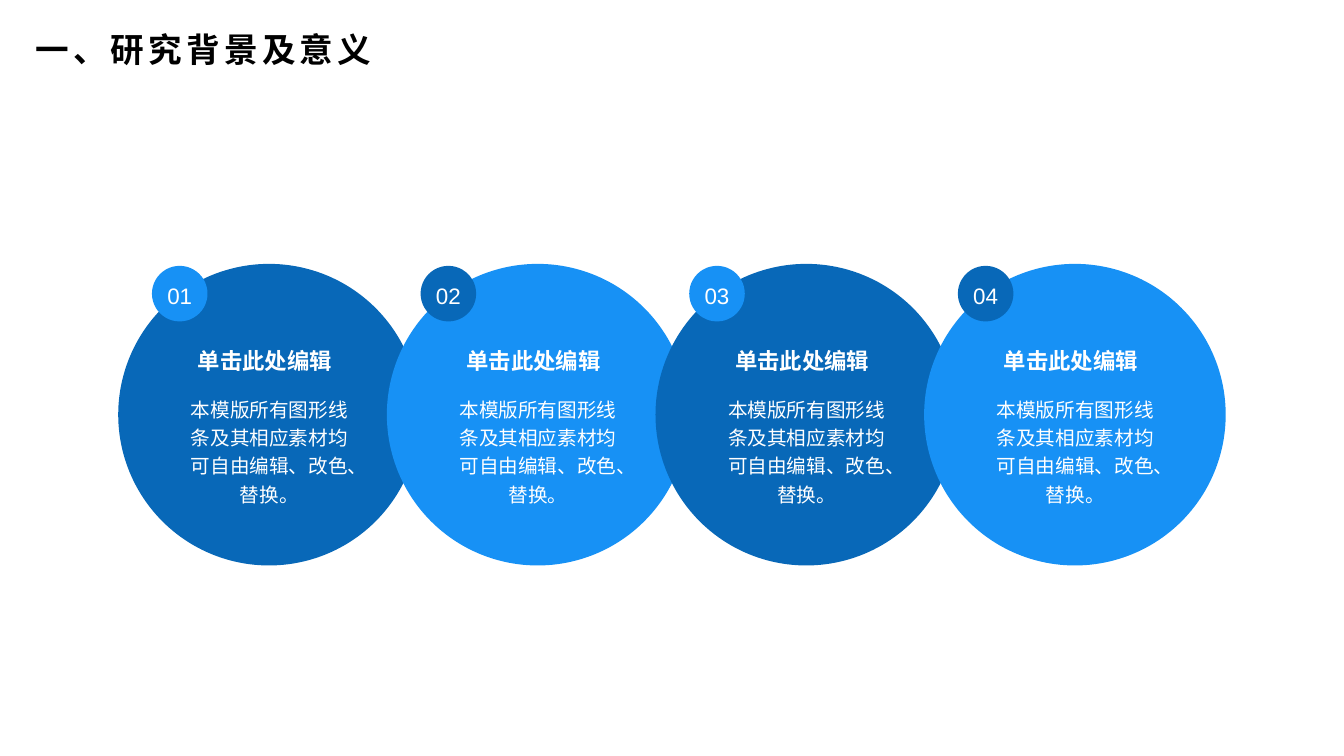
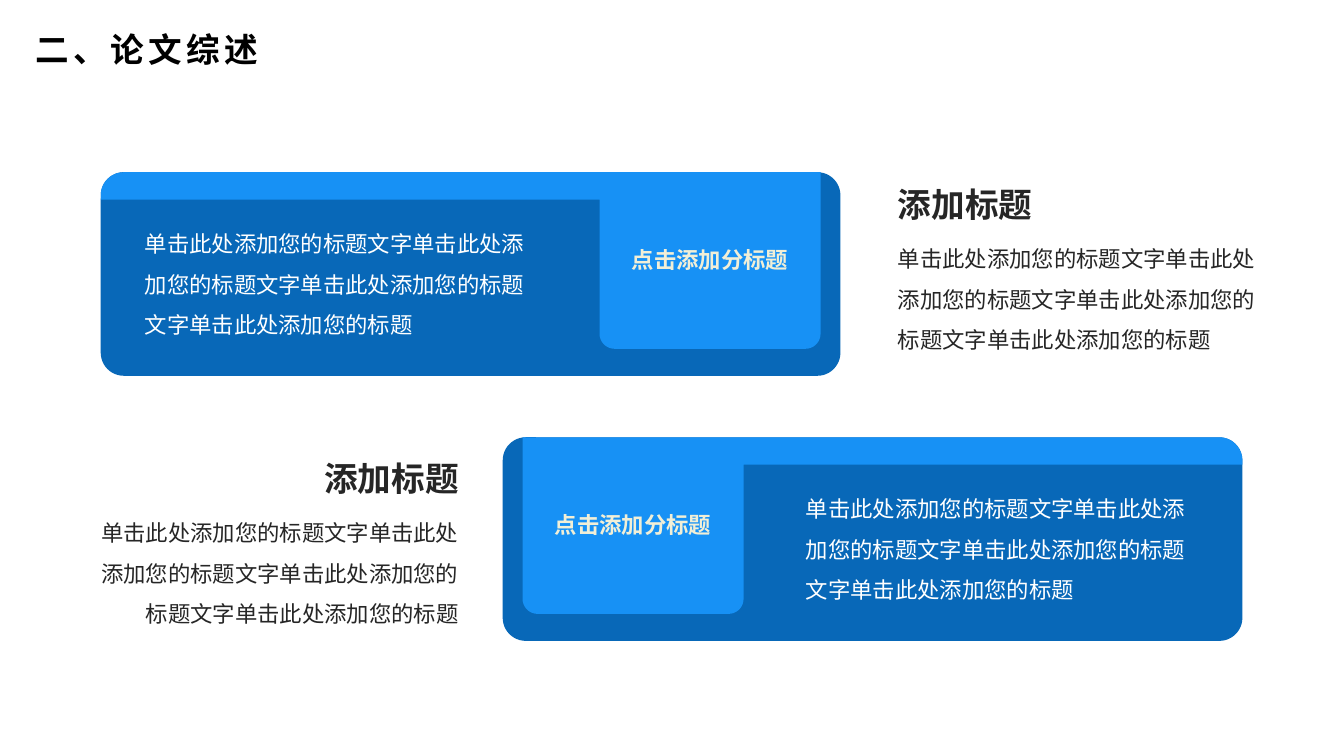
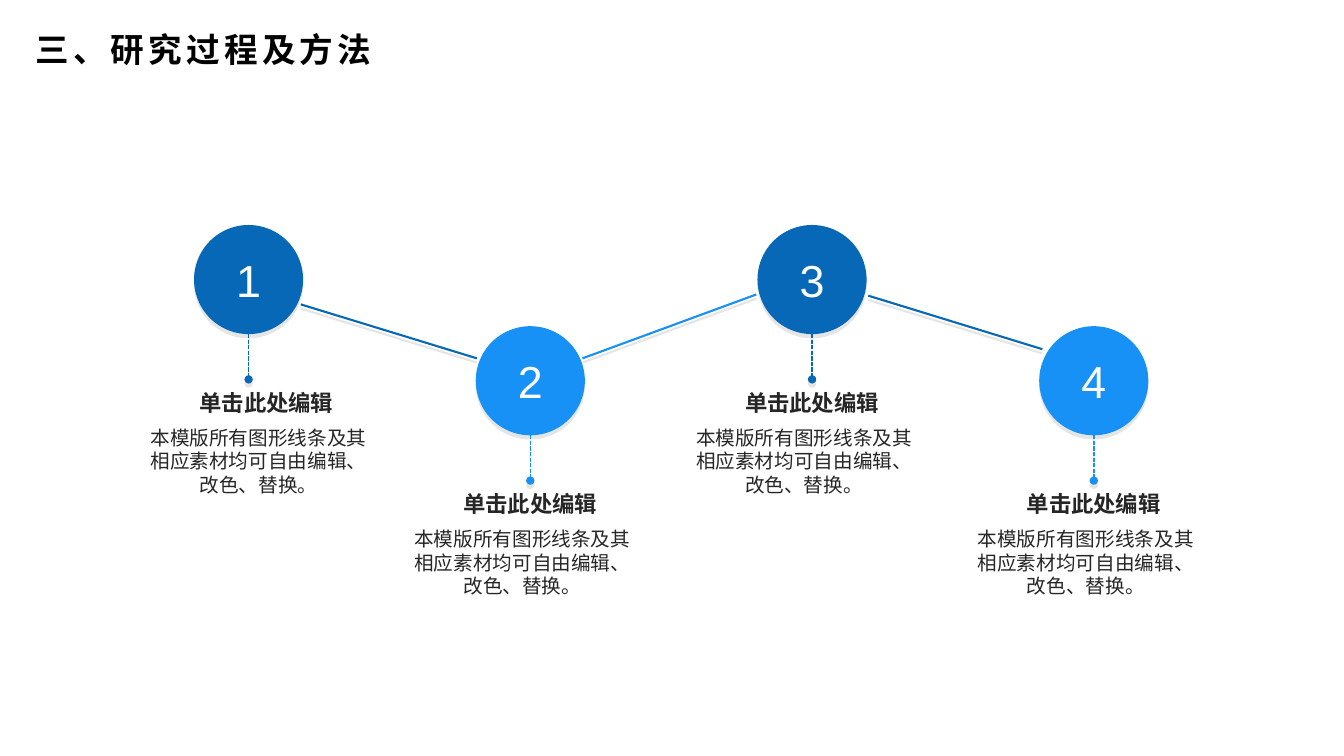
import dataclasses
import math

import lxml.etree
import pptx
import pptx.dml.color
import pptx.enum.dml
import pptx.enum.lang
import pptx.enum.shapes
import pptx.enum.text
import pptx.oxml
import pptx.oxml.ns
import pptx.util

Cm = pptx.util.Cm
ALIGN = pptx.enum.text.PP_ALIGN
SHAPE = pptx.enum.shapes.MSO_SHAPE
qn = pptx.oxml.ns.qn


@dataclasses.dataclass(frozen=True)
class Theme:
    """Colours, font and type sizes shared by all slides."""
    deep: str = "0868B8"
    bright: str = "1791F5"
    white: str = "FFFFFF"
    cream: str = "F1EFD7"
    ink: str = "262626"
    black: str = "000000"
    font: str = "Arial"
    title: int = 24
    number: int = 32
    heading: int = 16
    body: int = 14

    def tone(self, index):
        """Alternate the two blues."""
        return (self.deep, self.bright)[index % 2]


THEME = Theme()
EDIT_HEADING = "单击此处编辑"
EDIT_BODY = "本模版所有图形线条及其相应素材均可自由编辑、改色、替换。"
REVIEW_BODY = "单击此处添加您的标题文字" * 3 + "单击此处添加您的标题"


def rgb(colour):
    """Turn a hex string into a colour."""
    return pptx.dml.color.RGBColor.from_string(colour)


def write_text(frame, text, *, size, colour, bold=False, align=ALIGN.LEFT,
               line_spacing=None, tracking=0, insets=(0.25, 0.13, 0.25, 0.13)):
    """Write one formatted paragraph into a text frame."""
    frame.word_wrap = True
    (frame.margin_left, frame.margin_top,
     frame.margin_right, frame.margin_bottom) = map(Cm, insets)
    paragraph = frame.paragraphs[0]
    paragraph.alignment = align
    if line_spacing:
        paragraph.line_spacing = line_spacing
    run = paragraph.add_run()
    run.text = text
    run.font.name = THEME.font
    run.font.size = pptx.util.Pt(size)
    run.font.bold = bold
    run.font.color.rgb = rgb(colour)
    run.font.language_id = pptx.enum.lang.MSO_LANGUAGE_ID.SIMPLIFIED_CHINESE
    properties = run.font._element
    properties.find(qn("a:latin")).addnext(
        properties.makeelement(qn("a:ea"), {"typeface": THEME.font}))
    if tracking:
        properties.set("spc", str(tracking * 100))


def add_label(slide, text, box, **text_format):
    """Add a text box that grows with its text."""
    frame = slide.shapes.add_textbox(*map(Cm, box)).text_frame
    write_text(frame, text, **text_format)
    frame.auto_size = pptx.enum.text.MSO_AUTO_SIZE.SHAPE_TO_FIT_TEXT


def paint(shape, colour):
    """Give a shape a plain fill without outline or shadow."""
    shape.shadow.inherit = False
    shape.fill.solid()
    shape.fill.fore_color.rgb = rgb(colour)
    shape.line.fill.background()


def add_disc(slide, left, top, diameter, colour):
    """Add a filled circle."""
    disc = slide.shapes.add_shape(
        SHAPE.OVAL, *map(Cm, (left, top, diameter, diameter)))
    paint(disc, colour)
    return disc


def drop_shadow(shape):
    """Set a faint hard shadow straight below a shape."""
    properties = shape._element.spPr
    for effects in properties.findall(qn("a:effectLst")):
        properties.remove(effects)
    effects = lxml.etree.SubElement(properties, qn("a:effectLst"))
    shadow = lxml.etree.SubElement(
        effects, qn("a:outerShdw"), blurRad="0", dist="38100",
        dir="5400000", algn="t", rotWithShape="0")
    black = lxml.etree.SubElement(shadow, qn("a:srgbClr"), val=THEME.black)
    lxml.etree.SubElement(black, qn("a:alpha"), val="10000")


def add_line(slide, start, end, colour, width, dotted_stem=False):
    """Add a shadowed line, dashed with a round tip if it is a stem."""
    line = slide.shapes.add_connector(
        pptx.enum.shapes.MSO_CONNECTOR.STRAIGHT, *map(Cm, (*start, *end)))
    line.line.color.rgb = rgb(colour)
    line.line.width = pptx.util.Pt(width)
    if dotted_stem:
        line.line.dash_style = pptx.enum.dml.MSO_LINE.SQUARE_DOT
        outline = line.line._get_or_add_ln()
        outline.find(qn("a:prstDash")).set("val", "sysDash")
        lxml.etree.SubElement(outline, qn("a:tailEnd"), type="oval")
    drop_shadow(line)


def add_titled_slide(deck, title):
    """Add a blank slide with the shared title."""
    slide = deck.slides.add_slide(deck.slide_layouts[6])
    add_label(slide, title, (0.64, 0.61, 10.03, 1.27), size=THEME.title,
              colour=THEME.black, bold=True, tracking=3)
    return slide


def add_background_circle(slide, left, top, index):
    """Place one large circle with its badge, heading and body."""
    add_disc(slide, left, top, 7.6, THEME.tone(index))
    badge = add_disc(slide, left + 0.85, top + 0.05, 1.4, THEME.tone(index + 1))
    write_text(badge.text_frame, f"{index + 1:02d}", size=THEME.heading,
               colour=THEME.white, align=ALIGN.CENTER, insets=(0, 0.1, 0, 0))
    badge.text_frame.vertical_anchor = pptx.enum.text.MSO_ANCHOR.MIDDLE
    add_label(slide, EDIT_HEADING, (left + 1.76, top + 1.96, 3.94, 0.94),
              size=THEME.heading, colour=THEME.white, bold=True)
    add_label(slide, EDIT_BODY, (left + 1.76, top + 3.26, 4.1, 2.87),
              size=THEME.body, colour=THEME.white, align=ALIGN.CENTER,
              line_spacing=1.2, insets=(0, 0, 0, 0))


def corner(centre_x, centre_y, radius, start):
    """List the points of a quarter arc from the start angle in degrees."""
    angles = [math.radians(start + step) for step in range(0, 91, 10)]
    return [(centre_x + radius * math.cos(angle),
             centre_y + radius * math.sin(angle)) for angle in angles]


def add_review_card(slide, left, top, body_left, mirrored=False):
    """Place a rounded card with its band, tab label and body."""
    width, height, radius = 18.64, 5.13, 0.58
    strip, tab_left, tab_right, tab_bottom, tab_radius = 0.69, 12.57, 18.14, 4.45, 0.38
    label_width = 5.84
    card = slide.shapes.add_shape(
        SHAPE.ROUNDED_RECTANGLE, *map(Cm, (left, top, width, height)))
    card.adjustments[0] = radius / height
    paint(card, THEME.deep)

    outline = [
        *corner(radius, radius, radius, 180),
        (tab_right, 0),
        *corner(tab_right - tab_radius, tab_bottom - tab_radius, tab_radius, 0),
        *corner(tab_left + tab_radius, tab_bottom - tab_radius, tab_radius, 90),
        (tab_left, strip),
        (0, strip),
    ]
    points = [(Cm(left + (width - x if mirrored else x)), Cm(top + y))
              for x, y in outline]
    builder = slide.shapes.build_freeform(*points[0])
    builder.add_line_segments(points[1:], close=True)
    paint(builder.convert_to_shape(), THEME.bright)

    tab_centre = (tab_left + tab_right) / 2
    if mirrored:
        tab_centre = width - tab_centre
    add_label(slide, "点击添加分标题",
              (left + tab_centre - label_width / 2, top + 1.73, label_width, 0.94),
              size=THEME.heading, colour=THEME.cream, bold=True, align=ALIGN.CENTER)
    add_label(slide, REVIEW_BODY, (left + body_left, top + 1, 10.11, 3.33),
              size=THEME.heading, colour=THEME.white, line_spacing=1.5)


def add_side_note(slide, left, top, align):
    """Place a heading over a body, both aligned to the same side."""
    width, heading_width = 9.6, 6.22
    indent = width - heading_width if align == ALIGN.RIGHT else 0
    add_label(slide, "添加标题", (left + indent, top, heading_width, 1.27),
              size=THEME.title, colour=THEME.ink, bold=True, align=align)
    add_label(slide, REVIEW_BODY, (left, top + 1.22, width, 3.33),
              size=THEME.heading, colour=THEME.ink, align=align, line_spacing=1.5)


def add_process_step(slide, left, top, index, caption_shift):
    """Place a numbered circle with its stem and caption."""
    diameter, stem = 2.75, 1.14
    caption_left, caption_top, caption_width = left + caption_shift, top + 4.09, 6.43
    step = add_disc(slide, left, top, diameter, THEME.tone(index))
    drop_shadow(step)
    write_text(step.text_frame, str(index + 1), size=THEME.number,
               colour=THEME.white, align=ALIGN.CENTER)
    step.text_frame.vertical_anchor = pptx.enum.text.MSO_ANCHOR.MIDDLE
    middle, bottom = left + diameter / 2, top + diameter
    add_line(slide, (middle, bottom), (middle, bottom + stem),
             THEME.tone(index), 1, dotted_stem=True)
    add_label(slide, EDIT_HEADING, (caption_left, caption_top, caption_width, 0.86),
              size=THEME.heading, colour=THEME.ink, bold=True, align=ALIGN.CENTER,
              line_spacing=0.9, insets=(0.65, 0.13, 0.25, 0.13))
    add_label(slide, EDIT_BODY, (caption_left, caption_top + 0.84, caption_width, 2.06),
              size=THEME.body, colour=THEME.ink, align=ALIGN.CENTER)


def build_background(deck):
    """Build the slide of four overlapping circles."""
    slide = add_titled_slide(deck, "一、研究背景及意义")
    for index in range(4):
        add_background_circle(slide, 2.98 + 6.77 * index, 6.65, index)


def build_review(deck):
    """Build the slide of two cards with side notes."""
    slide = add_titled_slide(deck, "二、论文综述")
    add_review_card(slide, 2.54, 4.34, body_left=0.86)
    add_review_card(slide, 12.67, 11.02, body_left=7.39, mirrored=True)
    add_side_note(slide, 22.38, 4.5, ALIGN.LEFT)
    add_side_note(slide, 2.21, 11.4, ALIGN.RIGHT)


def build_process(deck):
    """Build the slide of four linked steps."""
    slide = add_titled_slide(deck, "三、研究过程及方法")
    corners = [(4.89 + 7.1 * index, 5.67 + 2.55 * (index % 2)) for index in range(4)]
    link_offsets = [((2.69, 2), (0.03, 0.81)),
                    ((2.69, 0.81), (-0.03, 1.75)),
                    ((2.79, 1.78), (0.08, 0.58))]
    for index, (leave, arrive) in enumerate(link_offsets):
        start = [a + b for a, b in zip(corners[index], leave)]
        end = [a + b for a, b in zip(corners[index + 1], arrive)]
        add_line(slide, start, end, THEME.tone(index), 1.5)
    caption_shifts = (-1.59, -2.04, -2.04, -2.04)
    for index, (place, shift) in enumerate(zip(corners, caption_shifts)):
        add_process_step(slide, *place, index, shift)


def main():
    """Build and save the deck."""
    deck = pptx.Presentation()
    deck.slide_width, deck.slide_height = Cm(33.87), Cm(19.05)
    build_background(deck)
    build_review(deck)
    build_process(deck)
    deck.save("out.pptx")


if __name__ == "__main__":
    main()
